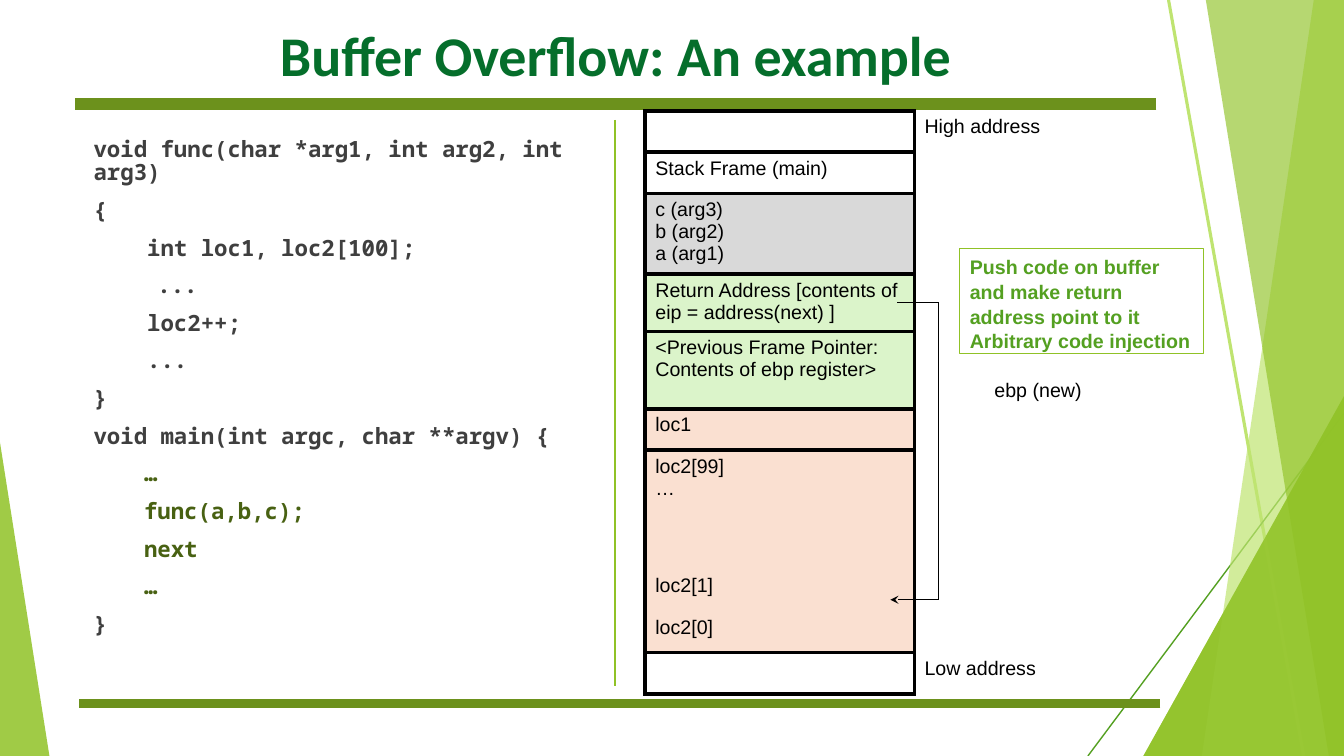
from lxml import etree
from pptx import Presentation
from pptx.dml.color import RGBColor
from pptx.enum.shapes import MSO_CONNECTOR, MSO_SHAPE
from pptx.enum.text import MSO_ANCHOR, MSO_AUTO_SIZE, PP_ALIGN
from pptx.oxml.ns import qn
from pptx.util import Inches, Pt

STRAIGHT = MSO_CONNECTOR.STRAIGHT
TRIANGLE, RECT = MSO_SHAPE.ISOSCELES_TRIANGLE, MSO_SHAPE.RECTANGLE
TOP, MIDDLE = MSO_ANCHOR.TOP, MSO_ANCHOR.MIDDLE
LEFT, CENTER, RIGHT = PP_ALIGN.LEFT, PP_ALIGN.CENTER, PP_ALIGN.RIGHT
NO_FIT = MSO_AUTO_SIZE.NONE

BLACK, GREEN, LIME, PALE, BAR = "000000", "54A021", "90C226", "BFE471", "6C911C"
GRAY, MINT, PEACH = "D9D9D9", "DBF4CA", "FAE0D1"
DARK, OLIVE = "3F3F3F", "486112"

HEAD = {"name": "Calibri", "size": Pt(40), "bold": True}
CODE = {"name": "Noto Sans Mono", "size": Pt(16), "bold": True}
LABEL = {"name": "Arial", "size": Pt(14), "bold": False}
NOTE = {"name": "Arial", "size": Pt(14), "bold": True}

SOURCE = [
    ("void func(char *arg1, int arg2, int arg3)", 0.09, DARK),
    ("{", 0.09, DARK),
    ("    int loc1, loc2[100];", 0.09, DARK),
    ("\t ...", 0.09, DARK),
    ("    loc2++;", 0.09, DARK),
    ("    ...", 0.09, DARK),
    ("}", 0.09, DARK),
    ("void main(int argc, char **argv) {", 0.09, DARK),
    ("…", 0.59, OLIVE),
    ("func(a,b,c);", 0.59, OLIVE),
    ("next", 0.59, OLIVE),
    ("…", 0.59, OLIVE),
    ("}", 0.09, DARK),
]

STACK = [
    (0.41, [], None, "LRTB", "High address"),
    (0.41, ["Stack Frame (main)"], None, "LRTB", ""),
    (0.75, ["c (arg3)", "b (arg2)", "a (arg1)"], GRAY, "LRTB", ""),
    (0.53, ["Return Address [contents of eip = address(next) ]"], MINT, "LRTB", ""),
    (0.77, ["<Previous Frame Pointer: Contents of ebp register>"], MINT, "LRTB", "ebp (new)"),
    (0.41, ["loc1"], PEACH, "LRTB", ""),
    (0.53, ["loc2[99]", "…"], PEACH, "LRT", ""),
    (0.62, [], PEACH, "LR", ""),
    (0.41, ["loc2[1]"], PEACH, "LR", ""),
    (0.41, ["loc2[0]"], PEACH, "LRB", ""),
    (0.41, [], None, "LRTB", "Low address"),
]


def rgb(code):
    """Turn a hex string into a colour."""
    return RGBColor.from_string(code)


def apply(item, values):
    """Set each value of a dict on an object."""
    for name, value in values.items():
        setattr(item, name, value)


def write(frame, lines, style, color, **format):
    """Write one paragraph per line in a text frame."""
    for i, line in enumerate(lines):
        para = frame.paragraphs[0] if i == 0 else frame.add_paragraph()
        run = para.add_run()
        run.text = line
        apply(run.font, style)
        run.font.color.rgb = rgb(color)
        apply(para, format)


def paint(shape, color, alpha):
    """Fill a shape with a see-through colour and drop its outline."""
    shape.shadow.inherit = False
    shape.line.fill.background()
    shape.fill.solid()
    shape.fill.fore_color.rgb = rgb(color)
    tint = shape._element.spPr.find(".//" + qn("a:srgbClr"))
    etree.SubElement(tint, qn("a:alpha")).set("val", str(alpha * 1000))


def wedge(slide, box, tip, alpha):
    """Draw a triangle with its tip at a share of the width."""
    shape = slide.shapes.add_shape(TRIANGLE, *map(Inches, box))
    shape.adjustments[0] = tip
    paint(shape, LIME, alpha)


def panel(slide, points, color, alpha):
    """Draw a closed outline through the points."""
    spots = [(Inches(x), Inches(y)) for x, y in points]
    draft = slide.shapes.build_freeform(*spots[0])
    draft.add_line_segments(spots[1:], close=True)
    paint(draft.convert_to_shape(), color, alpha)


def rule(slide, ends, color, width, head=None):
    """Draw a straight line, with an arrowhead at its start if named."""
    line = slide.shapes.add_connector(STRAIGHT, *map(Inches, ends))
    line.line.color.rgb = rgb(color)
    line.line.width = Pt(width)
    if head:
        etree.SubElement(line.line._get_or_add_ln(), qn("a:headEnd")).set("type", head)
    etree.SubElement(line._element.spPr, qn("a:effectLst"))


def decor(slide):
    """Draw the green shards at both edges."""
    corner = (11.34, 3.93, 1.99, 3.57)
    wedge(slide, corner, 1, 80)
    wedge(slide, (0, 4.39, 0.49, 3.11), 0, 85)
    rule(slide, (11.59, 0, 12.93, 7.5), PALE, 2.25)
    rule(slide, (13.33, 4.1, 10.79, 7.5), GREEN, 1)
    panel(slide, [(13.03, 0), (13.33, 0), (13.33, 7.5), (11.92, 7.5)], PALE, 70)
    panel(slide, [(11.96, 0), (13.33, 0), (13.33, 7.5), (13.18, 7.5)], LIME, 65)
    wedge(slide, corner, 1, 80)


def heading(slide, text):
    """Place and format the slide title."""
    title = slide.shapes.title
    box = map(Inches, (0.74, 0.03, 10.73, 1.01))
    apply(title, dict(zip(("left", "top", "width", "height"), box)))
    apply(title.text_frame, {"vertical_anchor": MIDDLE, "auto_size": NO_FIT})
    write(title.text_frame, [text], HEAD, "056E2B", alignment=CENTER)


def listing(slide):
    """Write the source code on the left."""
    frame = slide.shapes.add_textbox(*map(Inches, (0.74, 1.27, 5.2, 5.55))).text_frame
    apply(frame, {"word_wrap": True, "margin_top": Inches(0.1)})
    for i, (line, indent, color) in enumerate(SOURCE):
        if i:
            frame.add_paragraph()
        para = frame.paragraphs[i]
        para._p.get_or_add_pPr().set("marL", str(Inches(indent)))
        run = para.add_run()
        run.text = line
        apply(run.font, CODE)
        run.font.color.rgb = rgb(color)
        apply(para, {"line_spacing": 0.88, "space_before": Pt(10 if i else 0)})


def border(cell, sides):
    """Draw black borders on the given sides and none on the rest."""
    props = cell._tc.get_or_add_tcPr()
    for side in "LRTB":
        edge = etree.SubElement(props, qn("a:ln" + side))
        if side in sides:
            edge.set("w", str(Pt(3)))
            fill = etree.SubElement(edge, qn("a:solidFill"))
            etree.SubElement(fill, qn("a:srgbClr")).set("val", BLACK)
        else:
            etree.SubElement(edge, qn("a:noFill"))


def stack(slide):
    """Build the memory table with its side labels."""
    high = sum(row[0] for row in STACK)
    box = map(Inches, (6.4, 1.1, 4.43, high))
    table = slide.shapes.add_table(len(STACK), 2, *box).table
    apply(table, {"first_row": False, "horz_banding": False})
    for column, width in zip(table.columns, (2.67, 1.76)):
        column.width = Inches(width)
    for i, (height, lines, color, sides, label) in enumerate(STACK):
        table.rows[i].height = Inches(height)
        cell, side = table.cell(i, 0), table.cell(i, 1)
        border(cell, sides)
        border(side, "L")
        cell.fill.background()
        side.fill.background()
        if color:
            cell.fill.solid()
            cell.fill.fore_color.rgb = rgb(color)
        write(cell.text_frame, lines, LABEL, BLACK)
        if label:
            write(side.text_frame, [label], LABEL, BLACK)
    table.cell(4, 1).merge(table.cell(5, 1))
    pointer = table.cell(4, 1)
    pointer.vertical_anchor = MIDDLE
    pointer.text_frame.paragraphs[0].alignment = RIGHT


def callout(slide):
    """Draw the framed note on code injection."""
    shape = slide.shapes.add_shape(RECT, *map(Inches, (9.52, 2.47, 2.42, 1.04)))
    shape.shadow.inherit = False
    shape.fill.background()
    shape.line.color.rgb = rgb(LIME)
    shape.line.width = Pt(0.75)
    apply(shape.text_frame, {"word_wrap": True, "vertical_anchor": TOP})
    lines = ["Push code on buffer and make return address point to it",
             "Arbitrary code injection"]
    write(shape.text_frame, lines, NOTE, GREEN, alignment=LEFT, line_spacing=1.05)


def main():
    """Build the slide and save it."""
    deck = Presentation()
    apply(deck, {"slide_width": Inches(13.33), "slide_height": Inches(7.5)})
    slide = deck.slides.add_slide(deck.slide_layouts[5])
    decor(slide)
    rule(slide, (11.47, 1.03, 0.74, 1.03), BAR, 8.75)
    rule(slide, (11.51, 6.98, 0.78, 6.98), BAR, 6)
    rule(slide, (6.1, 1.19, 6.1, 6.81), LIME, 1.75)
    heading(slide, "Buffer Overflow: An example")
    listing(slide)
    stack(slide)
    callout(slide)
    rule(slide, (9.31, 3, 9.31, 5.95), BLACK, 0.75)
    rule(slide, (8.9, 3, 9.31, 3), BLACK, 0.75)
    rule(slide, (8.83, 5.95, 9.31, 5.95), BLACK, 0.75, "stealth")
    deck.save("out.pptx")


if __name__ == "__main__":
    main()
